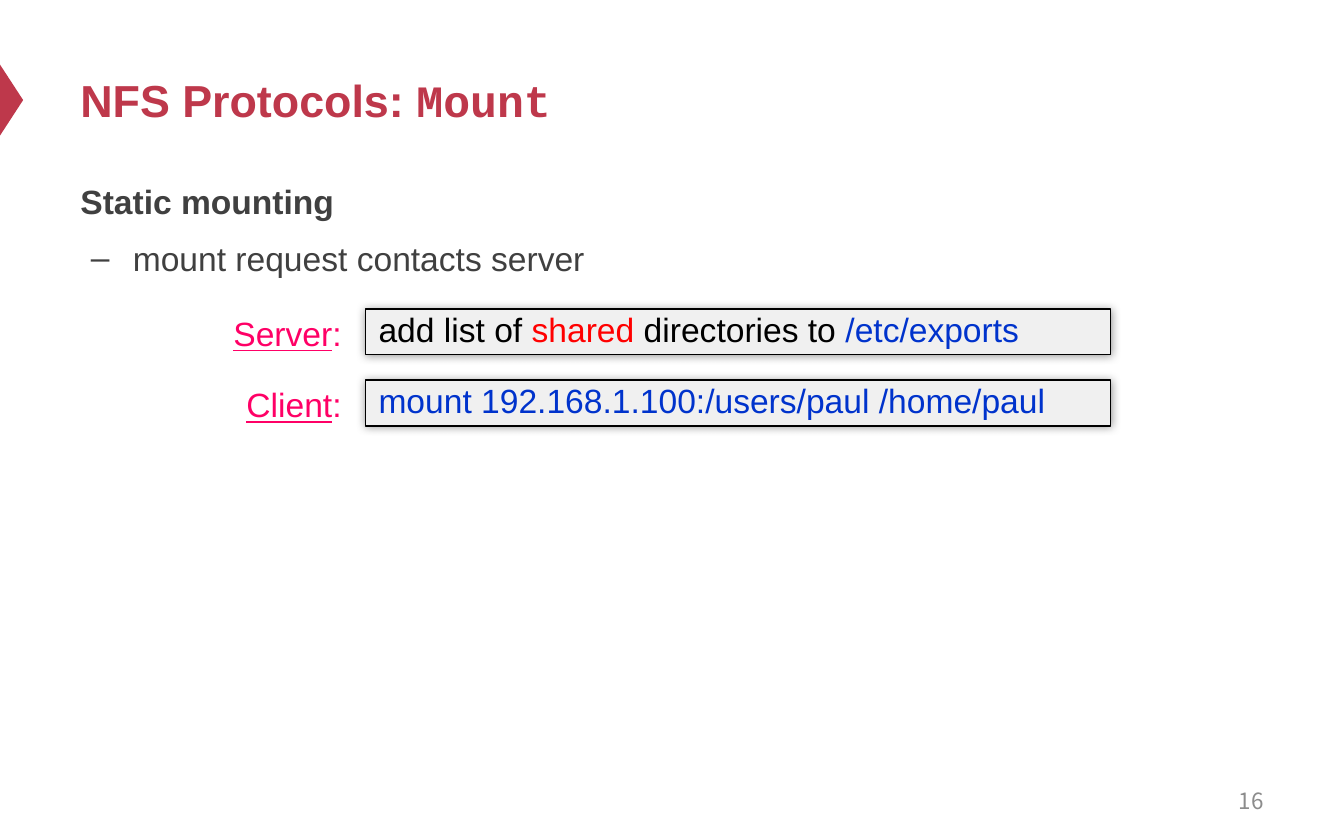
from dataclasses import dataclass

from lxml import etree
from pptx import Presentation
from pptx.dml.color import RGBColor
from pptx.enum.shapes import MSO_SHAPE
from pptx.enum.text import MSO_ANCHOR, PP_ALIGN
from pptx.oxml.ns import qn
from pptx.util import Pt

TRIANGLE = MSO_SHAPE.ISOSCELES_TRIANGLE
RECTANGLE = MSO_SHAPE.RECTANGLE
TOP, MIDDLE = MSO_ANCHOR.TOP, MSO_ANCHOR.MIDDLE
LEFT, RIGHT = PP_ALIGN.LEFT, PP_ALIGN.RIGHT


@dataclass(frozen=True)
class Theme:
    accent: str = "BE384B"
    body: str = "404040"
    muted: str = "8C8C8C"
    label: str = "FF0066"
    panel: str = "F0F0F0"
    ink: str = "000000"
    highlight: str = "FF0000"
    command: str = "0033CC"
    sans: str = "Arial"
    mono: str = "Courier New"
    number_font: str = "Noto Sans CJK SC"
    title_size: int = 24
    body_size: int = 18
    number_size: int = 12


THEME = Theme()


def add_run(paragraph, text, color, size=THEME.body_size, name=THEME.sans,
            bold=False, underline=False):
    run = paragraph.add_run()
    run.text = text
    font = run.font
    font.name, font.size = name, Pt(size)
    font.bold, font.underline = bold, underline
    font.color.rgb = RGBColor.from_string(color)


def prepare_frame(shape, anchor=TOP, align=LEFT):
    frame = shape.text_frame
    frame.word_wrap = True
    frame.vertical_anchor = anchor
    paragraph = frame.paragraphs[0]
    paragraph.alignment = align
    return paragraph


def add_text(slide, box, anchor=TOP, align=LEFT):
    shape = slide.shapes.add_textbox(*map(Pt, box))
    return prepare_frame(shape, anchor, align)


def set_indent(paragraph, left, first):
    properties = paragraph._p.get_or_add_pPr()
    properties.set("marL", str(Pt(left)))
    properties.set("indent", str(Pt(first)))
    return properties


def add_glow_shadow(shape):
    shape.shadow.inherit = False
    effects = shape._element.spPr.find(qn("a:effectLst"))
    shadow = etree.SubElement(effects, qn("a:outerShdw"), blurRad=str(Pt(5)),
                              dist="0", dir="0", algn="ctr", rotWithShape="0")
    color = etree.SubElement(shadow, qn("a:srgbClr"), val=THEME.ink)
    etree.SubElement(color, qn("a:alpha"), val="40000")


def add_marker(slide, box):
    left, top, width, height = box
    marker = slide.shapes.add_shape(
        TRIANGLE, Pt(left + (width - height) / 2), Pt(top + (height - width) / 2),
        Pt(height), Pt(width))
    marker.rotation = 90
    marker.shadow.inherit = False
    marker.fill.solid()
    marker.fill.fore_color.rgb = RGBColor.from_string(THEME.accent)
    marker.line.fill.background()


def add_title(slide, box):
    paragraph = add_text(slide, box, MIDDLE)
    for text, name in (("NFS Protocols: ", THEME.sans), ("Mount", THEME.mono)):
        add_run(paragraph, text, THEME.accent, THEME.title_size, name, bold=True)


def add_body(slide, box):
    heading = add_text(slide, box)
    heading.line_spacing = 1.2
    add_run(heading, "Static mounting", THEME.body, bold=True)
    detail = slide.shapes[-1].text_frame.add_paragraph()
    detail.line_spacing = 1.2
    detail.space_before = Pt(4.5)
    properties = set_indent(detail, 28.12, -22.5)
    etree.SubElement(properties, qn("a:buFont"), typeface=THEME.sans)
    etree.SubElement(properties, qn("a:buChar"), char="–")
    add_run(detail, "mount request contacts server", THEME.body)


def add_command_row(slide, box, label, pieces):
    left, top, width, height = box
    label_width, gap = 75.6, 5.6
    label_paragraph = add_text(slide, (left, top - 1.4, label_width, 29), align=RIGHT)
    add_run(label_paragraph, label, THEME.label, underline=True)
    add_run(label_paragraph, ":", THEME.label)

    offset = label_width + gap
    panel = slide.shapes.add_shape(
        RECTANGLE, Pt(left + offset), Pt(top), Pt(width - offset), Pt(height))
    panel.fill.solid()
    panel.fill.fore_color.rgb = RGBColor.from_string(THEME.panel)
    panel.line.color.rgb = RGBColor.from_string(THEME.ink)
    panel.line.width = Pt(0.75)
    add_glow_shadow(panel)
    paragraph = prepare_frame(panel)
    panel.text_frame.margin_top = Pt(0)
    panel.text_frame.margin_bottom = Pt(2.2)
    set_indent(paragraph, 17.3, -17.3)
    for text, color in pieces:
        add_run(paragraph, text, color)


def add_commands(slide, box):
    left, top, width, height = box
    rows = (
        ("Server", (("add list of ", THEME.ink), ("shared", THEME.highlight),
                    (" directories to ", THEME.ink), ("/etc/exports", THEME.command))),
        ("Client", (("mount 192.168.1.100:/users/paul /home/paul", THEME.command),)),
    )
    row_height = 24.5
    pitch = (height - row_height) / (len(rows) - 1)
    for index, (label, pieces) in enumerate(rows):
        add_command_row(slide, (left, top + index * pitch, width, row_height),
                        label, pieces)


def add_page_number(slide, box):
    paragraph = add_text(slide, box, MIDDLE, RIGHT)
    add_run(paragraph, "16", THEME.muted, THEME.number_size, THEME.number_font)


def main():
    presentation = Presentation()
    presentation.slide_width, presentation.slide_height = Pt(720), Pt(450)
    slide = presentation.slides.add_slide(presentation.slide_layouts[6])
    add_marker(slide, (0, 34.6, 12.4, 38))
    add_title(slide, (36, 18, 648, 70.6))
    add_body(slide, (36, 89.3, 648, 296.6))
    add_commands(slide, (114.5, 165.6, 480.3, 62.6))
    add_page_number(slide, (516, 417, 168, 24))
    presentation.save("out.pptx")


if __name__ == "__main__":
    main()
